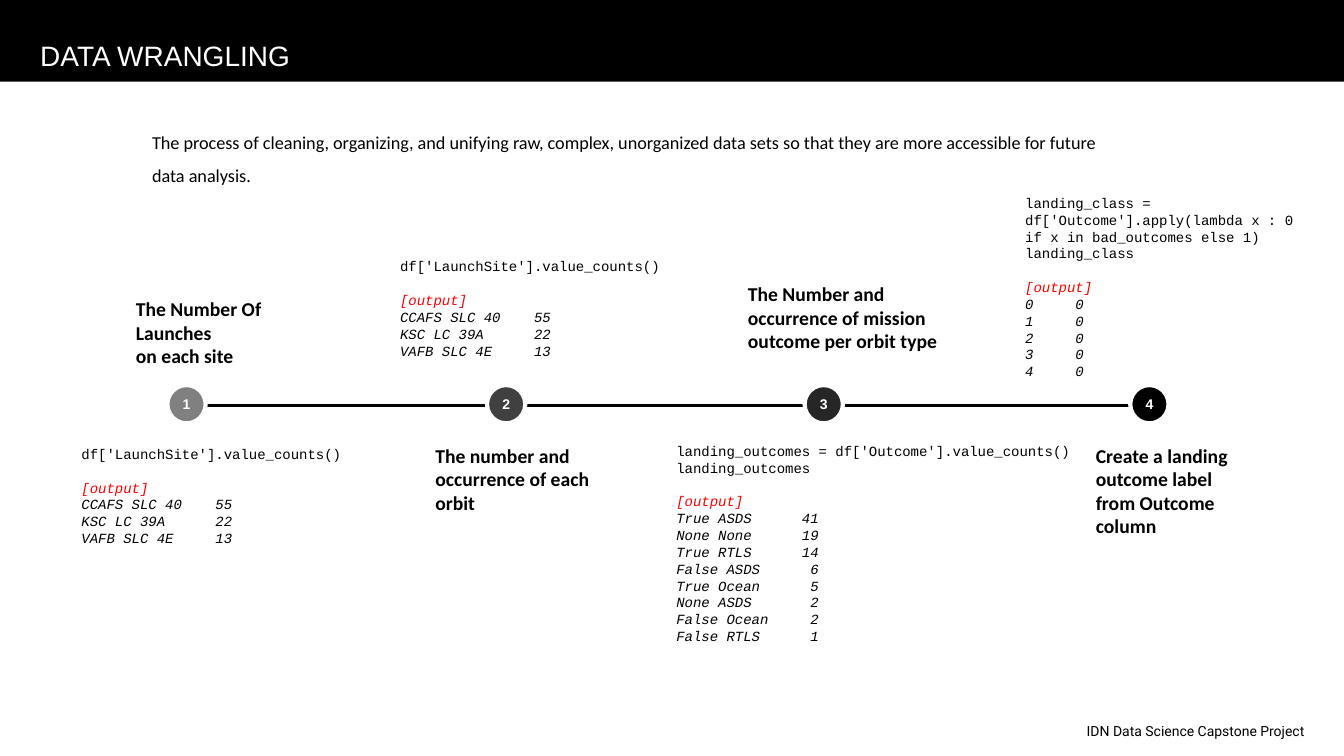
from pptx import Presentation
from pptx.dml.color import RGBColor
from pptx.enum.shapes import MSO_CONNECTOR, MSO_SHAPE
from pptx.enum.text import MSO_ANCHOR, PP_ALIGN
from pptx.util import Inches, Pt
from lxml import etree

RECT, OVAL = MSO_SHAPE.RECTANGLE, MSO_SHAPE.OVAL
STRAIGHT = MSO_CONNECTOR.STRAIGHT
CENTER, MIDDLE = PP_ALIGN.CENTER, MSO_ANCHOR.MIDDLE
COLORS = {"black": "000000", "white": "FFFFFF", "red": "FF0000",
          "step1": "808080", "step2": "404040", "step3": "262626", "step4": "000000"}
OUTPUT = "[output]"

prs = Presentation()
prs.slide_width, prs.slide_height = Inches(13.33), Inches(7.5)
s = prs.slides.add_slide(prs.slide_layouts[6])


def rgb(name):
    return RGBColor.from_string(COLORS[name])


def add_text(text, x, y, w, h, size=14, font="Calibri", color="black",
             bold=False, code=False, spacing=None, wrap=True):
    """Add a text box; in code, the lines from the output mark on are italic."""
    tf = s.shapes.add_textbox(Inches(x), Inches(y), Inches(w), Inches(h)).text_frame
    tf.word_wrap = wrap
    in_output = False
    for i, line in enumerate(text.split("\n")):
        p = tf.paragraphs[0] if i == 0 else tf.add_paragraph()
        p.line_spacing = spacing
        is_mark = code and line == OUTPUT
        in_output = in_output or is_mark
        if is_mark:
            p.space_before = Pt(12)
        r = p.add_run()
        r.text = line
        r.font.name, r.font.size = font, Pt(size)
        r.font.bold, r.font.italic = bold, in_output
        r.font.color.rgb = rgb("red" if is_mark else color)


# Header, introduction and footer
sp = s.shapes.add_shape(RECT, 0, 0, prs.slide_width, Inches(0.81))
sp.shadow.inherit = False
sp.fill.solid()
sp.fill.fore_color.rgb = rgb("black")
sp.line.fill.background()
add_text("DATA WRANGLING", 0.3, 0.13, 3.4, 0.45, size=20, font="Arial",
         color="white", spacing=1.6)
add_text("The process of cleaning, organizing, and unifying raw, complex, unorganized "
         "data sets so that they are more accessible for future data analysis.",
         1.41, 1.15, 9.84, 0.73, size=13, spacing=1.5)
add_text("IDN Data Science Capstone Project", 10.68, 7.12, 2.43, 0.27,
         size=10, font="Roboto", wrap=False)

# Timeline
line = s.shapes.add_connector(STRAIGHT, Inches(1.66), Inches(4.02), Inches(11.59), Inches(4.02))
line.line.color.rgb = rgb("black")
line.line.width = Pt(2)
etree.SubElement(line._element.spPr,
                 "{http://schemas.openxmlformats.org/drawingml/2006/main}effectLst")

# Numbered steps
for n, x in enumerate([1.66, 4.83, 7.98, 11.21], start=1):
    sp = s.shapes.add_shape(OVAL, Inches(x), Inches(3.82), Inches(0.38), Inches(0.38))
    sp.shadow.inherit = False
    sp.fill.solid()
    sp.fill.fore_color.rgb = rgb(f"step{n}")
    sp.line.color.rgb = rgb("white")
    sp.line.width = Pt(3)
    tf = sp.text_frame
    tf.margin_left = tf.margin_right = tf.margin_top = tf.margin_bottom = 0
    tf.vertical_anchor = MIDDLE
    p = tf.paragraphs[0]
    p.alignment = CENTER
    r = p.add_run()
    r.text = str(n)
    r.font.name, r.font.size, r.font.bold = "Arial", Pt(10), True
    r.font.color.rgb = rgb("white")

# Step labels
labels = [
    ("The Number Of\nLaunches\non each site", 1.25, 2.9, 1.73, 0.81),
    ("The number and occurrence of each orbit", 4.22, 4.35, 1.87, 0.81),
    ("The Number and occurrence of mission outcome per orbit type", 7.32, 2.75, 2.3, 1.04),
    ("Create a landing outcome label from Outcome column", 10.77, 4.35, 1.73, 1.04),
]
for label in labels:
    add_text(*label, bold=True)

# Code with its output
site_counts = f"""df['LaunchSite'].value_counts()
{OUTPUT}
CCAFS SLC 40    55
KSC LC 39A      22
VAFB SLC 4E     13"""
outcome_counts = f"""landing_outcomes = df['Outcome'].value_counts()
landing_outcomes
{OUTPUT}
True ASDS      41
None None      19
True RTLS      14
False ASDS      6
True Ocean      5
None ASDS       2
False Ocean     2
False RTLS      1"""
landing_class = f"""landing_class = df['Outcome'].apply(lambda x : 0 if x in bad_outcomes else 1)
landing_class
{OUTPUT}
0     0
1     0
2     0
3     0
4     0"""
snippets = [
    (site_counts, 0.71, 4.37, 2.99, 1.11),
    (site_counts, 3.87, 2.51, 2.99, 1.11),
    (outcome_counts, 6.61, 4.34, 4.24, 2.12),
    (landing_class, 10.07, 1.88, 3.04, 1.95),
]
for snippet in snippets:
    add_text(*snippet, size=10, font="Courier New", code=True)

prs.save("out.pptx")
